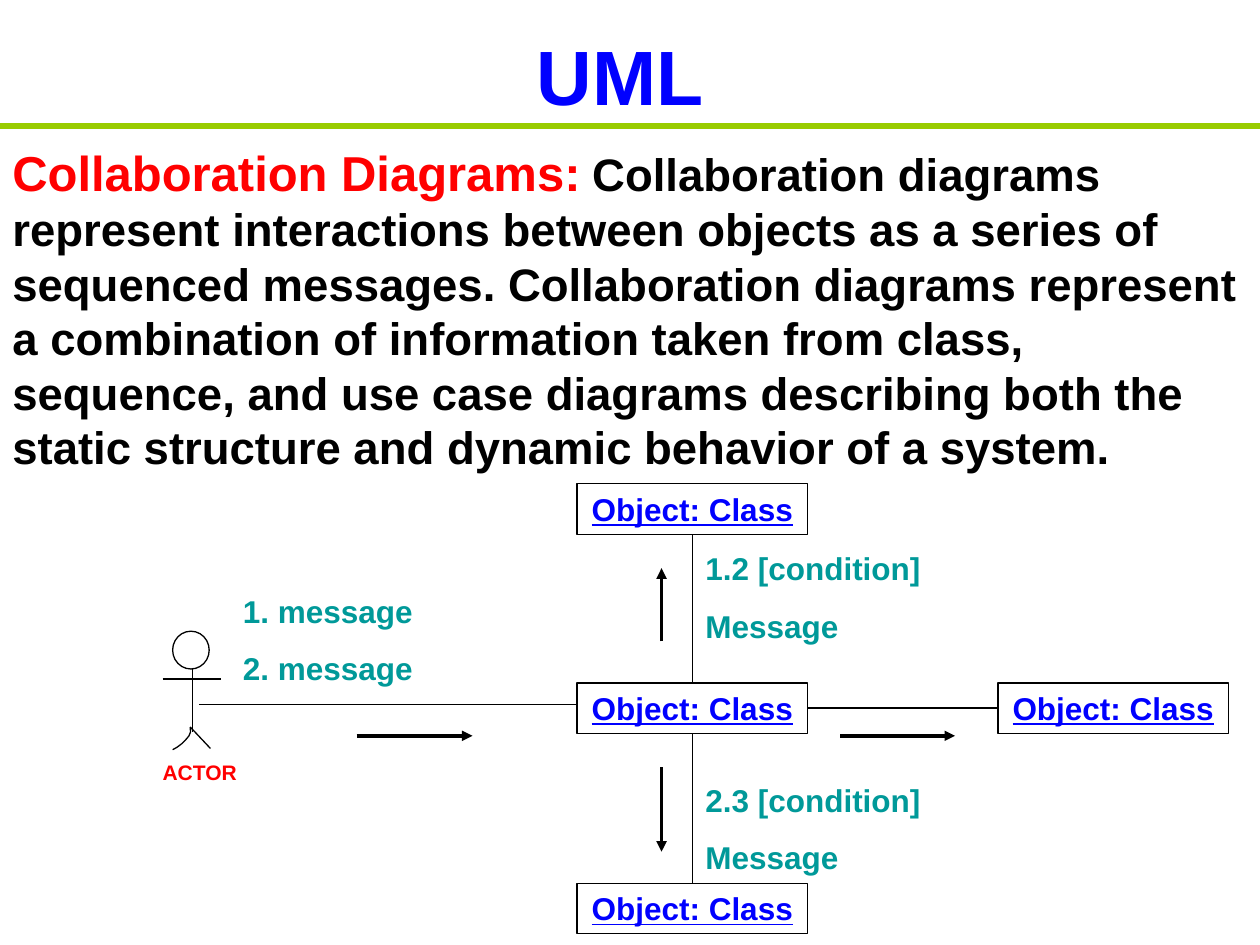
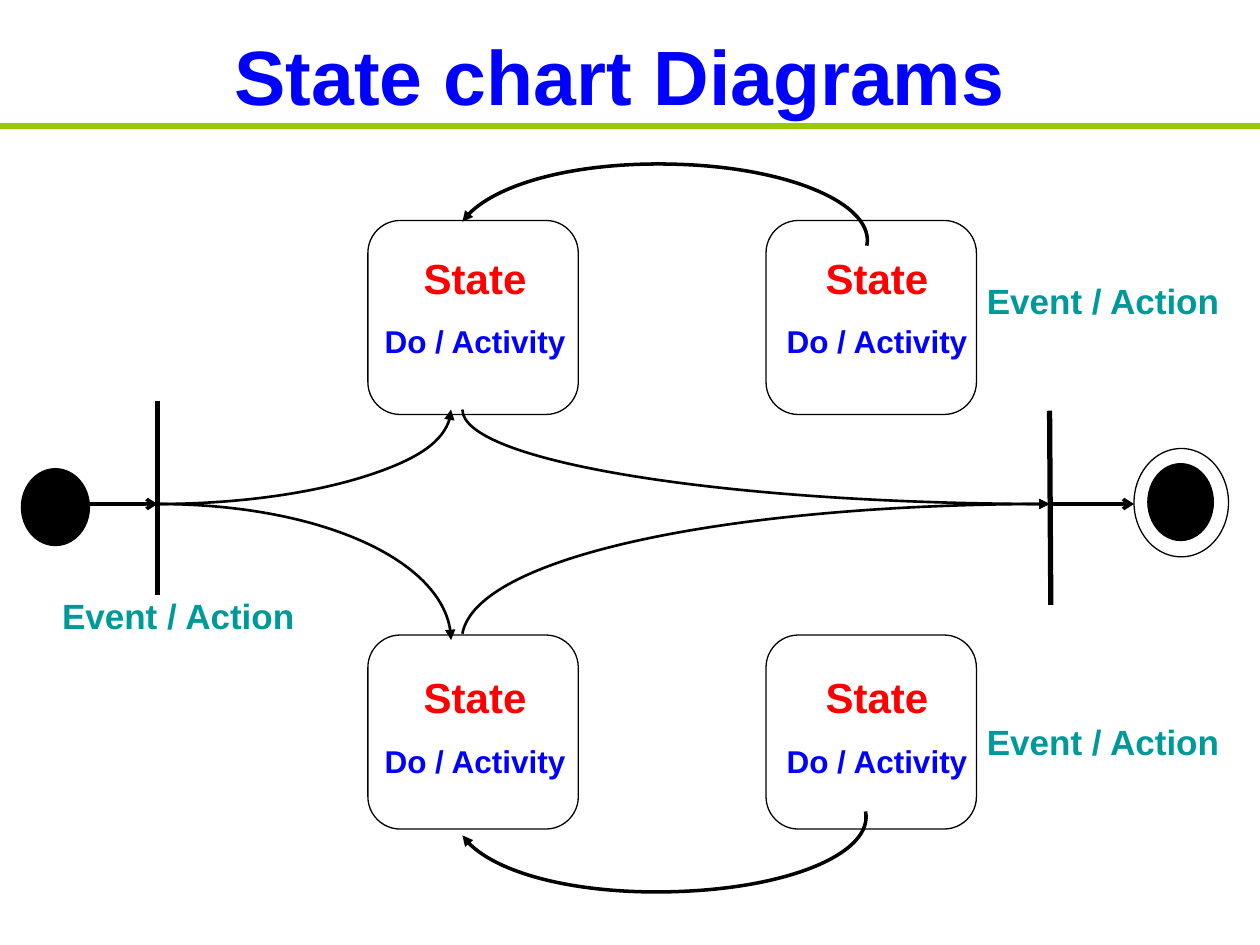
"""Build two UML slides: a collaboration diagram and a state chart."""
from dataclasses import dataclass

from lxml.etree import SubElement
from pptx import Presentation
from pptx.dml.color import RGBColor
from pptx.enum.shapes import MSO_CONNECTOR, MSO_SHAPE
from pptx.enum.text import MSO_ANCHOR, MSO_AUTO_SIZE, PP_ALIGN
from pptx.oxml.ns import qn
from pptx.util import Inches, Pt


@dataclass(frozen=True)
class Theme:
    font: str = "Arial"
    blue: str = "0000FF"
    red: str = "FF0000"
    teal: str = "009999"
    black: str = "000000"
    green: str = "99CC00"
    title: int = 44
    lead: int = 28
    body: int = 26
    space: int = 24
    state: int = 24
    event: int = 20
    label: int = 18
    actor: int = 12
    thin: float = 0.75
    curve: float = 1.5
    thick: float = 2
    bar: float = 3
    gap: float = 11.2


THEME = Theme()


def write(frame, text, size=THEME.label, tint=THEME.black, align=PP_ALIGN.LEFT,
          before=0, under=False, join=False):
    if join or not frame.text:
        para = frame.paragraphs[-1]
    else:
        para = frame.add_paragraph()
    para.alignment = align
    para.space_before = Pt(before)
    run = para.add_run()
    run.text = text
    font = run.font
    font.name = THEME.font
    font.size = Pt(size)
    font.bold = True
    if under:
        font.underline = True
    font.color.rgb = RGBColor.from_string(tint)


def place(points):
    return [(Inches(x), Inches(y)) for x, y in points]


class Deck:
    def __init__(self, theme):
        self.theme = theme
        self.show = Presentation()
        self.show.slide_width = Inches(10)
        self.show.slide_height = Inches(7.5)
        self.slide = None

    def page(self, name):
        self.slide = self.show.slides.add_slide(self.show.slide_layouts[5])
        title = self.slide.shapes.title
        title.left, title.top = Inches(0.67), Inches(0.17)
        title.width, title.height = Inches(8.5), Inches(0.85)
        frame = title.text_frame
        frame.auto_size = MSO_AUTO_SIZE.NONE
        frame.vertical_anchor = MSO_ANCHOR.MIDDLE
        write(frame, name, self.theme.title, self.theme.blue, PP_ALIGN.CENTER)
        self.line((0, 1), (10, 1), self.theme.bar, self.theme.green)

    def stroke(self, item, width, tint=THEME.black, tip=None):
        item.line.color.rgb = RGBColor.from_string(tint)
        item.line.width = Pt(width)
        if tip:
            edge = item._element.spPr.find(qn("a:ln"))
            SubElement(edge, qn("a:tailEnd")).set("type", tip)

    def line(self, start, end, width=THEME.thin, tint=THEME.black, tip=None):
        (x, y), (right, low) = place([start, end])
        item = self.slide.shapes.add_connector(
            MSO_CONNECTOR.STRAIGHT, x, y, right, low)
        self.stroke(item, width, tint, tip)
        SubElement(item._element.spPr, qn("a:effectLst"))
        return item

    def link(self, first, side, second, other):
        item = self.line((0, 0), (1, 1))
        item.begin_connect(first, side)
        item.end_connect(second, other)

    def shape(self, kind, x, y, wide, high, fill=None):
        item = self.slide.shapes.add_shape(
            kind, Inches(x), Inches(y), Inches(wide), Inches(high))
        item.shadow.inherit = False
        if fill:
            item.fill.solid()
            item.fill.fore_color.rgb = RGBColor.from_string(fill)
        else:
            item.fill.background()
        self.stroke(item, self.theme.thin)
        return item

    def curve(self, points, width=THEME.curve, tip="triangle"):
        """Draw cubic curves from a start point and groups of three points."""
        spots = place(points)
        pen = self.slide.shapes.build_freeform(*spots[0])
        pen.add_line_segments(spots[1:], close=False)
        item = pen.convert_to_shape()
        item.shadow.inherit = False
        item.fill.background()
        self.stroke(item, width, tip=tip)
        steps = list(item._element.iter(qn("a:lnTo")))
        track = steps[0].getparent()
        for i in range(0, len(steps), 3):
            bend = SubElement(track, qn("a:cubicBezTo"))
            for step in steps[i:i + 3]:
                bend.append(step[0])
                track.remove(step)

    def text(self, x, y, wide, high):
        item = self.slide.shapes.add_textbox(
            Inches(x), Inches(y), Inches(wide), Inches(high))
        item.text_frame.word_wrap = True
        return item.text_frame

    def note(self, x, y, *rows):
        frame = self.text(x, y, 2.08, 0.86)
        for i, row in enumerate(rows):
            write(frame, row, tint=self.theme.teal,
                  before=self.theme.gap if i else 0)

    def node(self, x, y):
        item = self.shape(MSO_SHAPE.RECTANGLE, x, y, 1.83, 0.4)
        item.text_frame.vertical_anchor = MSO_ANCHOR.TOP
        write(item.text_frame, "Object: Class", tint=self.theme.blue,
              align=PP_ALIGN.CENTER, under=True)
        return item

    def actor(self):
        self.shape(MSO_SHAPE.OVAL, 1.37, 5.01, 0.29, 0.3)
        self.line((1.53, 5.3), (1.53, 5.81))
        self.line((1.29, 5.39), (1.75, 5.39))
        self.curve([(1.37, 5.95), (1.43, 5.92), (1.46, 5.89), (1.5, 5.84),
                    (1.52, 5.79), (1.51, 5.82), (1.51, 5.77)],
                   self.theme.thin, None)
        self.line((1.51, 5.77), (1.67, 5.94))
        write(self.text(1.17, 5.98, 0.83, 0.3), "ACTOR", self.theme.actor,
              self.theme.red, PP_ALIGN.CENTER)

    def state(self, x, y, left, top):
        item = self.shape(MSO_SHAPE.ROUNDED_RECTANGLE, x, y, 1.67, 1.54)
        item.adjustments[0] = 0.167
        frame = self.text(left, top, 1.92, 0.86)
        frame.margin_left = frame.margin_right = 0
        frame.margin_top = frame.margin_bottom = 0
        frame.vertical_anchor = MSO_ANCHOR.MIDDLE
        write(frame, "State", self.theme.state, self.theme.red,
              PP_ALIGN.CENTER)
        write(frame, "Do / Activity", tint=self.theme.blue,
              align=PP_ALIGN.CENTER, before=self.theme.gap)

    def event(self, x, y):
        write(self.text(x, y, 2.17, 0.44), "Event / Action",
              self.theme.event, self.theme.teal, PP_ALIGN.CENTER)


def collab(deck):
    theme = deck.theme
    deck.page("UML")
    frame = deck.text(0, 1.08, 10, 2.74)
    write(frame, "Collaboration Diagrams:", theme.lead, theme.red)
    write(frame, " ", theme.space, theme.red, join=True)
    write(frame, "Collaboration diagrams represent interactions between "
          "objects as a series of sequenced messages. Collaboration diagrams "
          "represent a combination of information taken from class, sequence, "
          "and use case diagrams describing both the static structure and "
          "dynamic behavior of a system.", theme.body, join=True)
    deck.actor()
    top, hub, base = [deck.node(4.58, y) for y in (3.84, 5.42, 7.01)]
    side = deck.node(7.92, 5.42)
    deck.link(top, 2, hub, 0)
    deck.link(hub, 2, base, 0)
    deck.link(hub, 3, side, 1)
    deck.line((1.58, 5.59), (4.58, 5.59))
    for start, end in (((2.83, 5.84), (3.75, 5.84)),
                       ((6.67, 5.84), (7.58, 5.84)),
                       ((5.25, 5.09), (5.25, 4.51)),
                       ((5.25, 6.09), (5.25, 6.76))):
        deck.line(start, end, theme.thick, tip="triangle")
    deck.note(1.83, 4.65, "1. message", "2. message")
    deck.note(5.5, 4.31, "1.2 [condition]", "Message")
    deck.note(5.5, 6.15, "2.3 [condition]", "Message")


def states(deck):
    theme = deck.theme
    deck.page("State chart Diagrams")
    deck.shape(MSO_SHAPE.OVAL, 0.17, 3.72, 0.54, 0.61, theme.black)
    deck.shape(MSO_SHAPE.OVAL, 9.11, 3.68, 0.52, 0.61, theme.black)
    deck.shape(MSO_SHAPE.OVAL, 9, 3.56, 0.75, 0.86)
    deck.line((0.67, 4), (1.25, 4), theme.thick, tip="arrow")
    deck.line((8.33, 4), (9, 4), theme.thick, tip="arrow")
    deck.line((1.25, 3.18), (1.25, 4.72), theme.bar)
    deck.line((8.33, 3.26), (8.34, 4.8), theme.bar)
    for x, left in ((2.92, 2.81), (6.08, 6)):
        for y, top in ((1.75, 2), (5.04, 5.33)):
            deck.state(x, y, left, top)
    deck.curve([(1.25, 4), (1.87, 4), (2.46, 3.92), (2.9, 3.78),
                (3.34, 3.64), (3.58, 3.45), (3.58, 3.25)])
    deck.curve([(1.25, 4), (2.54, 4), (3.58, 4.48), (3.58, 5.08)])
    deck.curve([(3.67, 3.25), (3.67, 3.66), (5.76, 4), (8.33, 4)])
    deck.curve([(3.67, 5.03), (3.78, 4.42), (5.8, 4), (8.33, 4)])
    deck.curve([(6.88, 1.95), (6.94, 1.64), (6.34, 1.36), (5.51, 1.31),
                (4.67, 1.26), (3.87, 1.46), (3.67, 1.76)], theme.thick)
    deck.curve([(6.87, 6.44), (6.93, 6.75), (6.34, 7.02), (5.5, 7.07),
                (4.67, 7.12), (3.87, 6.93), (3.67, 6.63)], theme.thick)
    for x, y in ((7.67, 2.17), (7.67, 5.67), (0.33, 4.67)):
        deck.event(x, y)


def main():
    deck = Deck(THEME)
    collab(deck)
    states(deck)
    deck.show.save("out.pptx")


if __name__ == "__main__":
    main()
